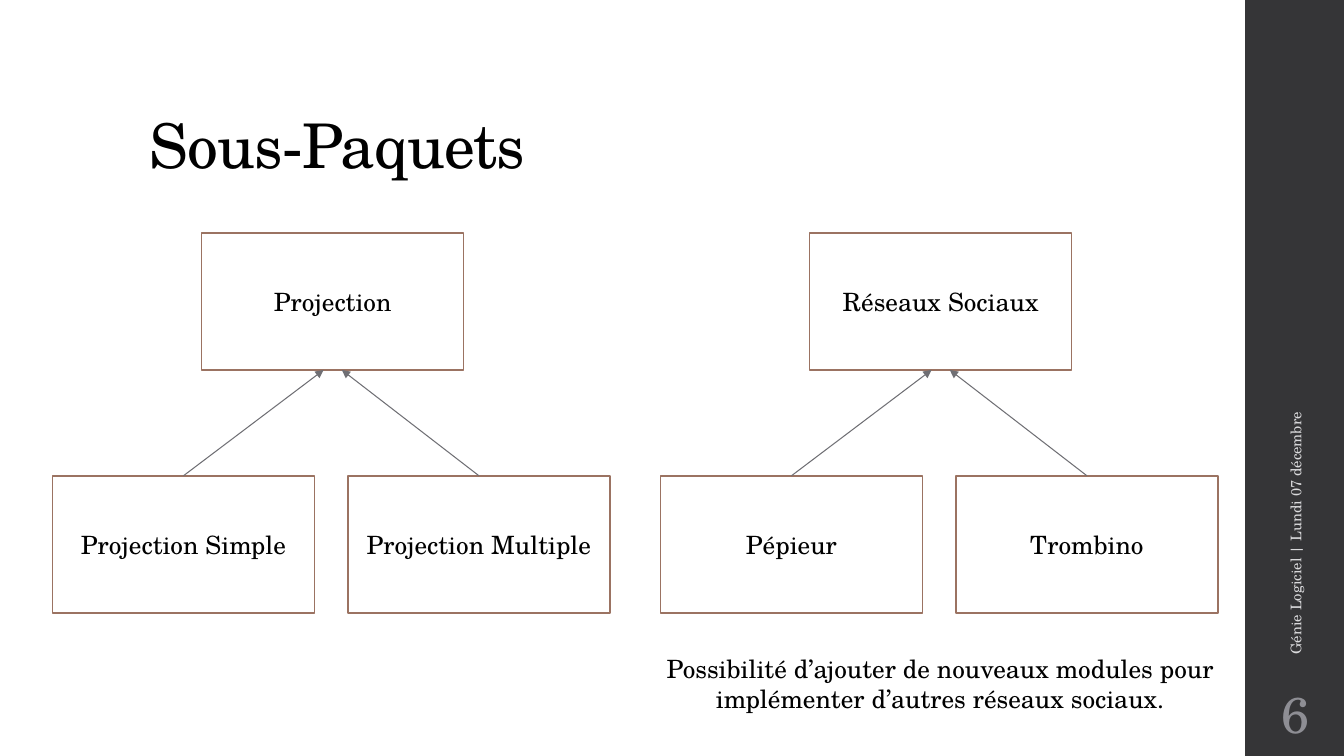
from lxml import etree
from pptx import Presentation
from pptx.dml.color import RGBColor
from pptx.enum.shapes import MSO_CONNECTOR, MSO_SHAPE
from pptx.enum.text import MSO_ANCHOR, MSO_AUTO_SIZE, PP_ALIGN
from pptx.oxml.ns import qn
from pptx.util import Inches, Pt

RECTANGLE, STRAIGHT = MSO_SHAPE.RECTANGLE, MSO_CONNECTOR.STRAIGHT
TOP, MIDDLE, BOTTOM = MSO_ANCHOR.TOP, MSO_ANCHOR.MIDDLE, MSO_ANCHOR.BOTTOM
LEFT, CENTER = PP_ALIGN.LEFT, PP_ALIGN.CENTER
NO_AUTOFIT = MSO_AUTO_SIZE.NONE

# Content
TITLE = "Sous-Paquets"
PACKAGES = [  # parent, children, left edge of the first child
    ("Projection", ["Projection Simple", "Projection Multiple"], 0.52),
    ("Réseaux Sociaux", ["Pépieur", "Trombino"], 6.55),
]
NOTE = "Possibilité d’ajouter de nouveaux modules pour implémenter d’autres réseaux sociaux."
FOOTER = "Génie Logiciel | Lundi 07 décembre"
PAGE_NUMBER = "6"

# Style and layout, in inches
FONT = "TeX Gyre Schola"
COLORS = {"band": "353537", "white": "FFFFFF", "text": "000000", "border": "9B7362",
          "arrow": "6F6F74", "footer": "D9D9DB", "number": "8E8E94"}
BOX_WIDTH, BOX_HEIGHT = 2.6, 1.36
PARENT_TOP, CHILD_TOP = 2.31, 4.72
PARENT_SHIFT, CHILD_STEP = 1.48, 2.93
ARROW_SPREAD = 0.09  # arrow tips on either side of the parent's centre


def color(name):
    return RGBColor.from_string(COLORS[name])


def write(shape, text, size, color_name="text", align=CENTER, anchor=MIDDLE):
    frame = shape.text_frame
    settings = {"word_wrap": True, "auto_size": NO_AUTOFIT, "vertical_anchor": anchor}
    for name, value in settings.items():
        setattr(frame, name, value)
    para = frame.paragraphs[0]
    para.alignment = align
    span = para.add_run()
    span.text = text
    for name, value in {"name": FONT, "size": Pt(size)}.items():
        setattr(span.font, name, value)
    span.font.color.rgb = color(color_name)
    return para, span


def add_rectangle(page, left, top, width, height, fill, border=None):
    box = page.shapes.add_shape(RECTANGLE, *map(Inches, (left, top, width, height)))
    box.shadow.inherit = False
    box.fill.solid()
    box.fill.fore_color.rgb = color(fill)
    if border:
        box.line.color.rgb = color(border)
        box.line.width = Pt(1.1)
    else:
        box.line.fill.background()
    return box


def add_package(page, label, left, top):
    box = add_rectangle(page, left, top, BOX_WIDTH, BOX_HEIGHT, "white", "border")
    write(box, label, 18)


def add_arrow(page, start, end):
    arrow = page.shapes.add_connector(STRAIGHT, *map(Inches, (*start, *end)))
    arrow.line.color.rgb = color("arrow")
    arrow.line.width = Pt(0.75)
    etree.SubElement(arrow.line._get_or_add_ln(), qn("a:tailEnd"), type="triangle")
    etree.SubElement(arrow._element.spPr, qn("a:effectLst"))


def add_text(page, left, top, width, height, *args, **kwargs):
    box = page.shapes.add_textbox(*map(Inches, (left, top, width, height)))
    write(box, *args, **kwargs)
    return box


def main():
    deck = Presentation()
    deck.slide_width, deck.slide_height = Inches(13.33), Inches(7.5)
    page = deck.slides.add_slide(deck.slide_layouts[5])

    # Side band and title
    band = add_rectangle(page, 12.35, 0, 1, 7.5, "band")
    title = page.shapes.title
    title._element.addprevious(band._element)
    place = {"left": 1.38, "top": 0.4, "width": 10.6, "height": 1.45}
    for name, value in place.items():
        setattr(title, name, Inches(value))
    para, span = write(title, TITLE, 44, align=LEFT, anchor=BOTTOM)
    para.line_spacing = 0.9
    span.font._element.set("spc", "-50")

    # Package trees
    for parent, children, tree_left in PACKAGES:
        parent_left = tree_left + PARENT_SHIFT
        parent_center = parent_left + BOX_WIDTH / 2
        add_package(page, parent, parent_left, PARENT_TOP)
        for index, child in enumerate(children):
            child_left = tree_left + index * CHILD_STEP
            add_package(page, child, child_left, CHILD_TOP)
            tip = parent_center + (2 * index - 1) * ARROW_SPREAD
            add_arrow(page, (child_left + BOX_WIDTH / 2, CHILD_TOP),
                      (tip, PARENT_TOP + BOX_HEIGHT))

    # Note, footer and page number
    add_text(page, 6.47, 6.43, 5.71, 0.71, NOTE, 18, anchor=TOP)
    footer = add_text(page, 10.89, 4.43, 3.92, 0.4, FOOTER, 10.5, "footer", LEFT)
    footer.rotation = 270
    number = add_text(page, 12.35, 6.75, 1, 0.65, PAGE_NUMBER, 36, "number")
    for side in ("left", "top", "right", "bottom"):
        setattr(number.text_frame, f"margin_{side}", Inches(0.05))

    deck.save("out.pptx")


if __name__ == "__main__":
    main()
